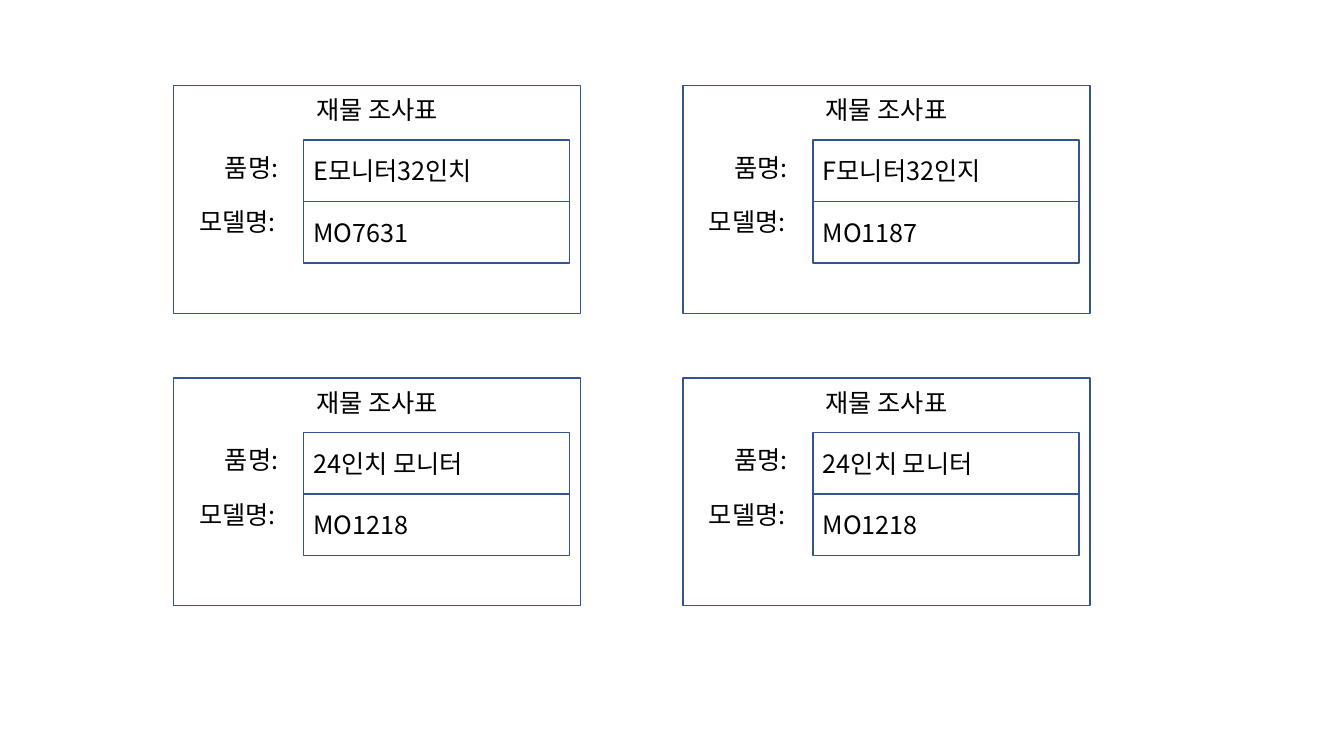
import pptx
import pptx.dml.color
import pptx.enum.shapes
import pptx.enum.text
import pptx.util
from lxml import etree

Pt = pptx.util.Pt
ALIGN = pptx.enum.text.PP_ALIGN
FONT = "Noto Sans CJK KR"
LINE, INK = "325491", "000000"
CARD_W, CARD_H = 290.9, 162.7
LEFT, TOP, PITCH_X, PITCH_Y = 123.8, 61.2, 364, 208.8
FIELD_X, FIELD_Y, FIELD_W, FIELD_H = 92.9, 38.9, 190.1, 43.9
LABEL_H = 29.1

CARDS = [
    ("E모니터32인치", "MO7631"),
    ("F모니터32인지", "MO1187"),
    ("24인치 모니터", "MO1218"),
    ("24인치 모니터", "MO1218"),
]


def color(value):
    return pptx.dml.color.RGBColor.from_string(value)


def write(tf, text, align=ALIGN.LEFT):
    p = tf.paragraphs[0]
    p.alignment = align
    r = p.add_run()
    r.text = text
    for name, value in {"name": FONT, "size": Pt(18)}.items():
        setattr(r.font, name, value)
    r.font.color.rgb = color(INK)
    # Hangul takes the East Asian typeface
    ea = etree.SubElement(r._r.get_or_add_rPr(), pptx.oxml.ns.qn("a:ea"))
    ea.set("typeface", FONT)


def add_box(s, x, y, w, h, text=None):
    sp = s.shapes.add_shape(pptx.enum.shapes.MSO_SHAPE.RECTANGLE,
                            Pt(x), Pt(y), Pt(w), Pt(h))
    sp.shadow.inherit = False
    sp.fill.background()
    sp.line.color.rgb = color(LINE)
    sp.line.width = Pt(1)
    if text:
        sp.text_frame.vertical_anchor = pptx.enum.text.MSO_ANCHOR.MIDDLE
        write(sp.text_frame, text)


def add_label(s, x, y, w, text, align=ALIGN.LEFT, wrap=False):
    tf = s.shapes.add_textbox(Pt(x), Pt(y), Pt(w), Pt(LABEL_H)).text_frame
    tf.word_wrap = wrap
    tf.auto_size = pptx.enum.text.MSO_AUTO_SIZE.SHAPE_TO_FIT_TEXT
    write(tf, text, align)


def add_card(s, x, y, item, model):
    # Field values, then the frame around them
    for row, value in enumerate((item, model)):
        add_box(s, x + FIELD_X, y + FIELD_Y + row * FIELD_H,
                FIELD_W, FIELD_H, value)
    add_box(s, x, y, CARD_W, CARD_H)
    # Field labels and card title
    add_label(s, x + 29.8, y + 43.9, 54.7, "품명:")
    add_label(s, x + 11.5, y + 82.8, 73.4, "모델명:")
    add_label(s, x + 29.8, y + 2.9, 231.1, "재물 조사표", ALIGN.CENTER, True)


def main():
    prs = pptx.Presentation()
    prs.slide_width, prs.slide_height = Pt(960), Pt(540)
    s = prs.slides.add_slide(prs.slide_layouts[6])
    # Two cards to a row
    for i, (item, model) in enumerate(CARDS):
        row, col = divmod(i, 2)
        add_card(s, LEFT + col * PITCH_X, TOP + row * PITCH_Y, item, model)
    prs.save("out.pptx")


if __name__ == "__main__":
    main()
